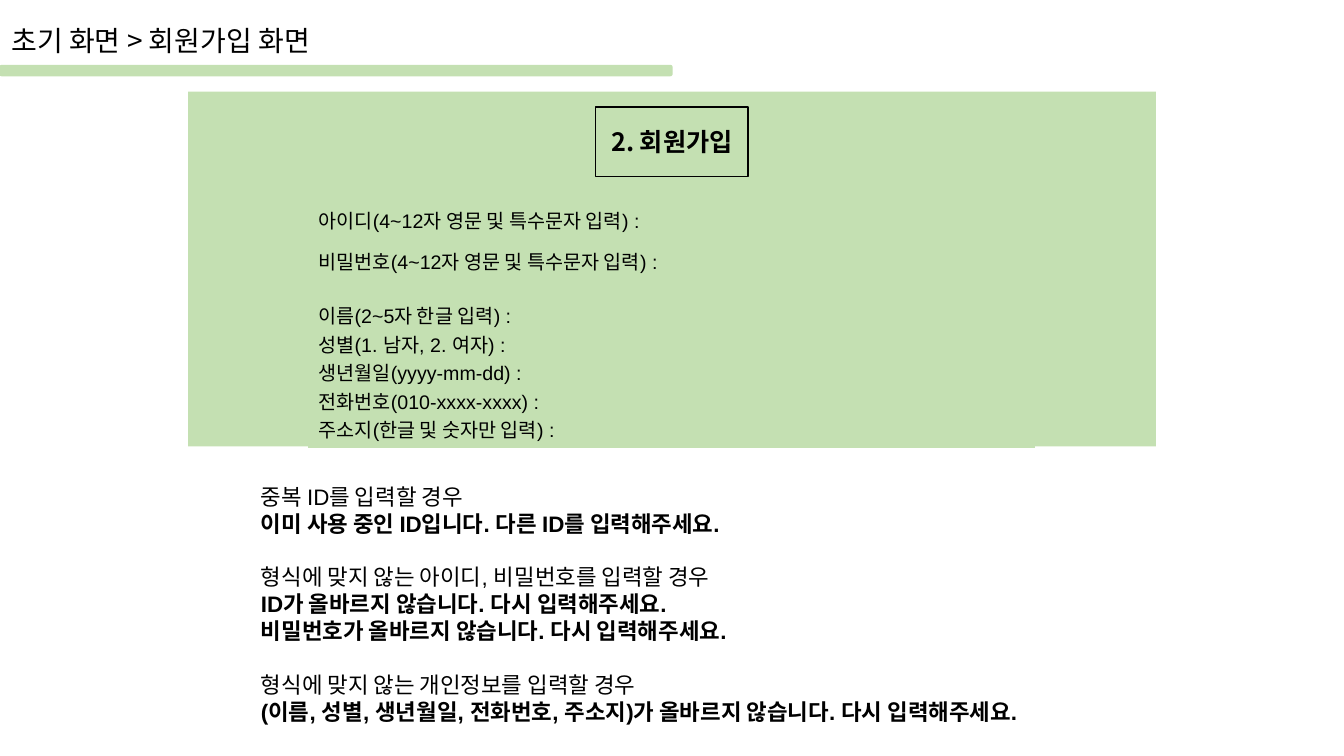
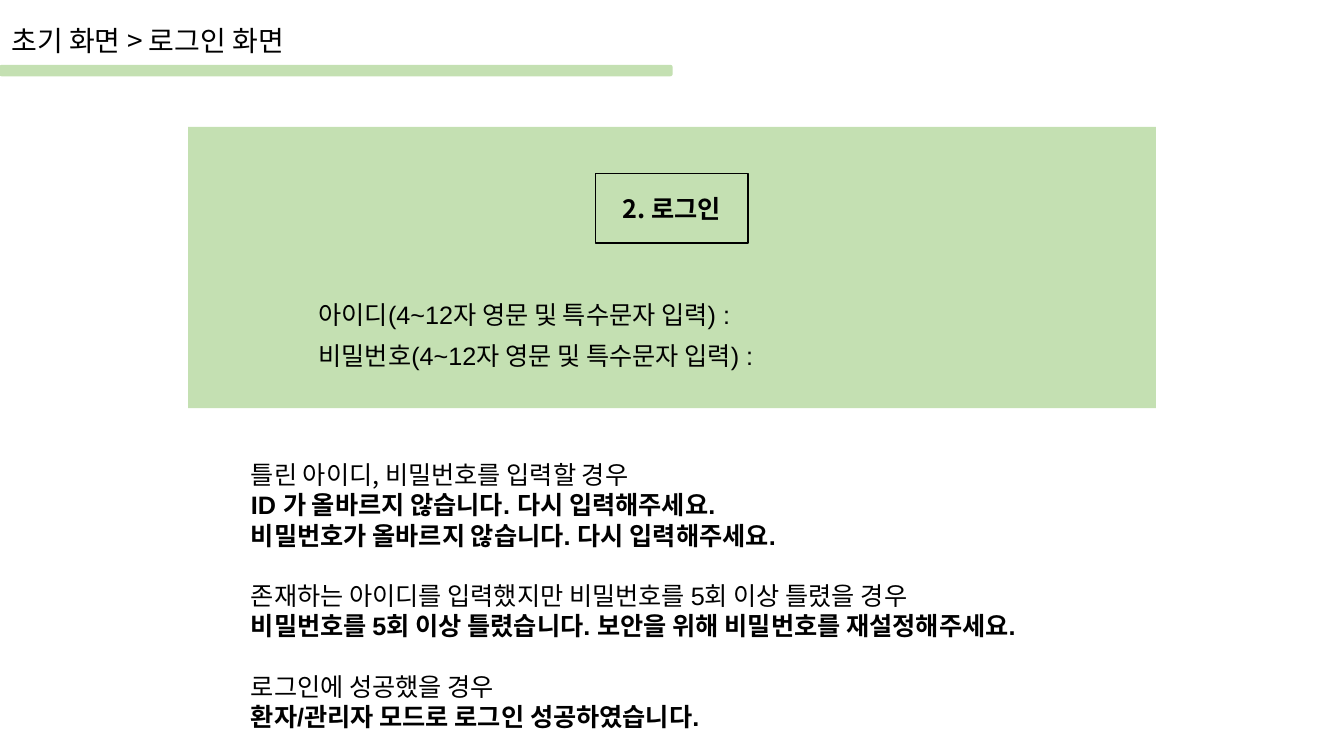
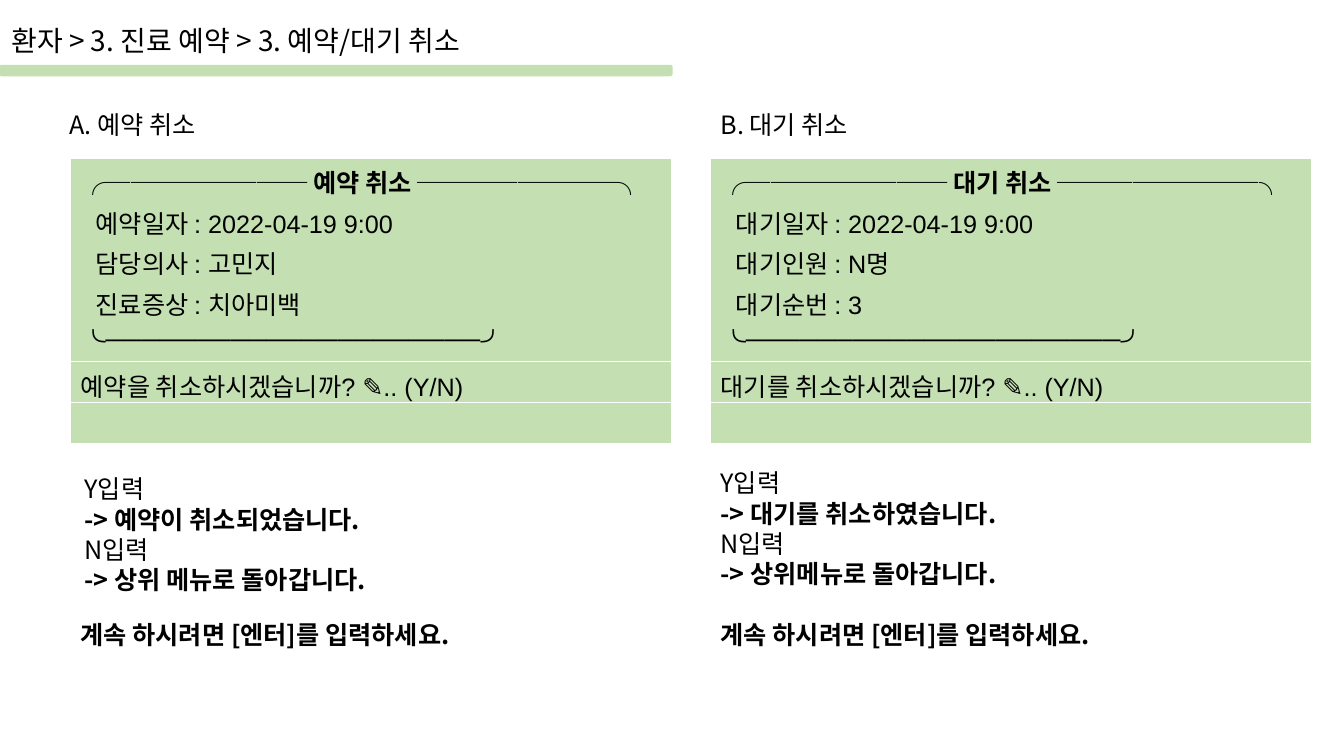
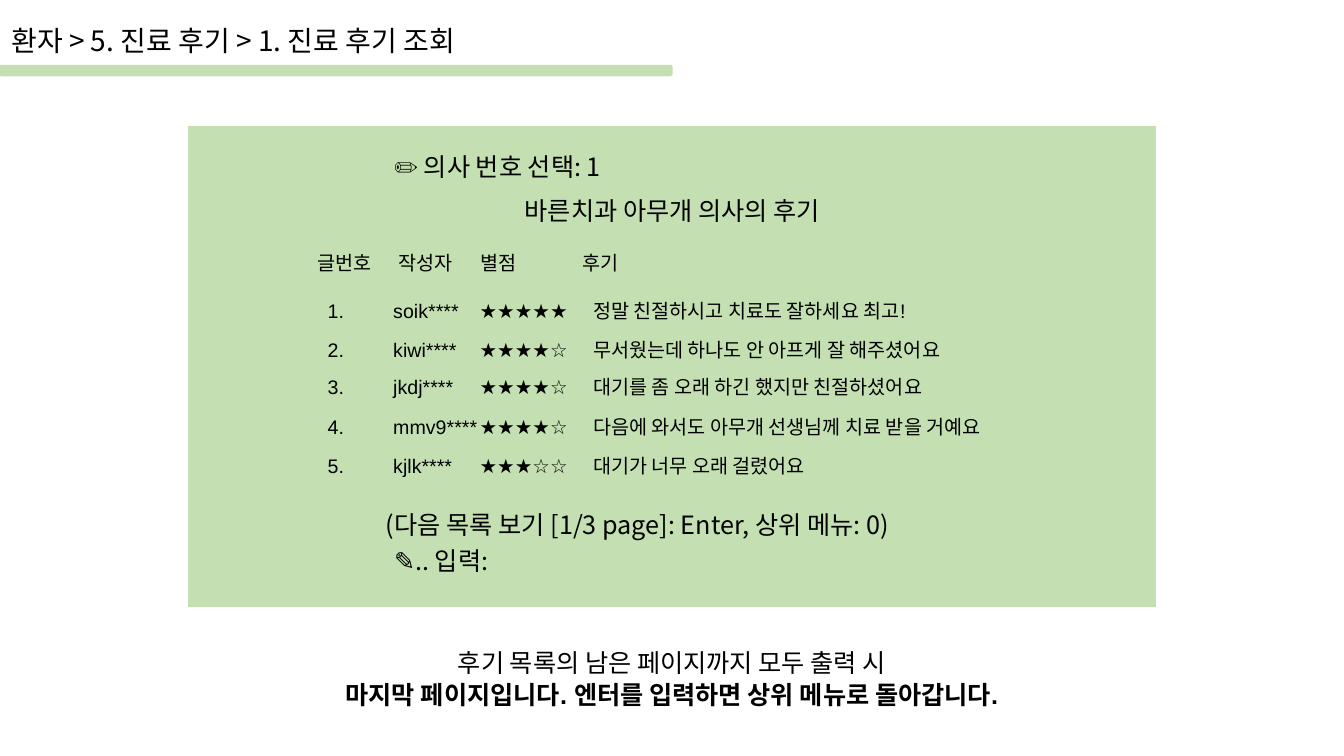
from dataclasses import dataclass

from lxml.etree import SubElement
from pptx import Presentation
from pptx.dml.color import RGBColor as RGB
from pptx.enum.shapes import MSO_SHAPE as Shape
from pptx.enum.text import MSO_ANCHOR as Anchor, PP_ALIGN as Align
from pptx.oxml import parse_xml
from pptx.oxml.ns import nsdecls, qn
from pptx.util import Inches, Pt


@dataclass(frozen=True)
class Theme:
    green: RGB = RGB(0xC4, 0xE0, 0xB2)
    black: RGB = RGB(0, 0, 0)
    latin: str = "Arial"
    hangul: str = "Noto Sans CJK KR"
    title: int = 20
    body: int = 18
    note: int = 16
    small: int = 14
    tiny: int = 3


T = Theme()
W, H = Inches(13.333), Inches(7.5)
PLAIN = "{2D5ABB26-0587-4C30-8999-92F81FD0307C}"
BOLD, GAP = {"bold": True}, {"gap": True}


def span(x, y, w, h):
    """Turn percentages of the slide into lengths."""
    return int(W * x / 100), int(H * y / 100), int(W * w / 100), int(H * h / 100)


def write(frame, lines, size=T.body, font=T.hangul, align=None, lead=1.2, tabs=(), **base):
    """Fill a frame; a line is a string, or a string with its own format."""
    frame.word_wrap = True
    for i, line in enumerate(lines):
        words, own = (line, {}) if isinstance(line, str) else line
        look = {"font": font, **base, **own}
        par = frame.paragraphs[0] if i == 0 else frame.add_paragraph()
        par.alignment = align
        if lead:
            par.line_spacing = Pt(size * lead)
        if look.get("gap"):
            par.space_before = Pt(size * lead)
        if tabs:
            stops = SubElement(par._p.get_or_add_pPr(), qn("a:tabLst"))
            for stop in tabs:
                SubElement(stops, qn("a:tab"), pos=str(int(W * stop / 100)), algn="l")
        if not words:
            SubElement(par._p, qn("a:endParaRPr"), sz=str(size * 100))
            continue
        run = par.add_run()
        run.text = words
        run.font.size = Pt(size)
        run.font.name = look["font"]
        run.font.bold = look.get("bold", False)
        run.font.color.rgb = T.black


# Titles
deck = Presentation()
deck.slide_width, deck.slide_height = W, H
slides = []
for title in (
    "초기 화면 > 회원가입 화면",
    "초기 화면 > 로그인 화면",
    "환자 > 3. 진료 예약 > 3. 예약/대기 취소",
    "환자 > 5. 진료 후기 > 1. 진료 후기 조회",
):
    slide = deck.slides.add_slide(deck.slide_layouts[6])
    slides.append(slide)
    bar = slide.shapes.add_shape(Shape.ROUNDED_RECTANGLE, *span(0, 8.67, 50, 1.33))
    bar.adjustments[0] = 0.17
    bar.shadow.inherit = False
    bar.fill.solid()
    bar.fill.fore_color.rgb = bar.line.color.rgb = T.green
    bar.line.width = Pt(1)
    write(slide.shapes.add_textbox(*span(0.1, 2.4, 65, 5.87)).text_frame, [title], size=T.title)
join, login, cancel, review = slides

# Panels and their headings
for slide, area, filled, head in (
    (join, (14, 12.13, 72, 46.93), True, None),
    (login, (14, 16.8, 72, 37.2), True, None),
    (review, (14, 16.67, 72, 63.6), True, None),
    (join, (44.33, 14.13, 11.33, 9.2), False, "2. 회원가입"),
    (login, (44.33, 22.93, 11.33, 9.2), False, "2. 로그인"),
    (review, (36.9, 25.2, 26.25, 5.33), True, "바른치과 아무개 의사의 후기"),
):
    panel = slide.shapes.add_shape(Shape.RECTANGLE, *span(*area))
    panel.shadow.inherit = False
    if filled:
        panel.fill.solid()
        panel.fill.fore_color.rgb = T.green
        panel.line.fill.background()
    else:
        panel.fill.background()
        panel.line.color.rgb = T.black
        panel.line.width = Pt(1)
    if head:
        panel.text_frame.vertical_anchor = Anchor.MIDDLE
        write(panel.text_frame, [head], align=Align.CENTER, bold=not filled)

# Tables: slide, corner, width, row heights, type size, rows of lines
user = "아이디(4~12자 영문 및 특수문자 입력) :"
key = "비밀번호(4~12자 영문 및 특수문자 입력) :"
person = [
    "이름(2~5자 한글 입력) :",
    "성별(1. 남자, 2. 여자) :",
    "생년월일(yyyy-mm-dd) :",
    "전화번호(010-xxxx-xxxx) :",
    "주소지(한글 및 숫자만 입력) :",
]
posts = [
    ("soik****", 5, "정말 친절하시고 치료도 잘하세요 최고!"),
    ("kiwi****", 4, "무서웠는데 하나도 안 아프게 잘 해주셨어요"),
    ("jkdj****", 4, "대기를 좀 오래 하긴 했지만 친절하셨어요"),
    ("mmv9****", 4, "다음에 와서도 아무개 선생님께 치료 받을 거예요"),
    ("kjlk****", 3, "대기가 너무 오래 걸렸어요"),
]
ratings = [
    [f"{i}.\t{name}\t{'★' * n + '☆' * (5 - n)}\t{words}"]
    for i, (name, n, words) in enumerate(posts, 1)
]
halves = [
    (5.25, "예약", "예약을", ["예약일자 : 2022-04-19 9:00", "담당의사 : 고민지", "진료증상 : 치아미백"]),
    (52.88, "대기", "대기를", ["대기일자 : 2022-04-19 9:00", "대기인원 : N명", "대기순번 : 3"]),
]
tables = [
    (join, (22.95, 26.53), 54.08, [5.47, 5.1, 1.73, 20.2], T.small, [[user], [key], [""], person]),
    (login, (22.95, 38.4), 54.08, [5.4, 5.4], T.body, [[user], [key]]),
    (review, (23.63, 38.4), 56.25, [5.2, 4.93, 5.2, 5.2, 5.2], T.small, ratings),
]
for x, kind, thing, facts in halves:
    rows = [
        [(f"╭──────── {kind} 취소 ────────╮", BOLD)],
        *([fact] for fact in facts),
        ["╰─────────────────────╯"],
        [f"{thing} 취소하시겠습니까? ✎.. (Y/N)"],
        [""],
    ]
    tables.append((cancel, (x, 20.93), 44.7, [5.39] * 7, T.body, rows))

for slide, corner, width, heights, size, rows in tables:
    area = span(*corner, width, sum(heights))
    grid = slide.shapes.add_table(len(rows), 1, *area).table
    grid.first_row = grid.horz_banding = False
    grid._tbl.tblPr.find(qn("a:tableStyleId")).text = PLAIN
    stops = (4.88, 11.3, 19.75) if slide is review else ()
    for r, lines in enumerate(rows):
        grid.rows[r].height = int(H * heights[r] / 100)
        cell = grid.cell(r, 0)
        cell.fill.solid()
        cell.fill.fore_color.rgb = T.green
        small = T.tiny if slide is join and lines == [""] else size
        write(cell.text_frame, lines, size=small, font=T.latin, lead=None, tabs=stops)
        if slide is not cancel:
            continue
        if r in (1, 2, 3):
            cell.margin_left = Inches(0.25)
            continue
        sides = "LRT" if r == 0 else "LRB" if r == 4 else "LRTB"
        for i, side in enumerate(sides):
            edge = parse_xml(
                f'<a:ln{side} {nsdecls("a")} w="12700"><a:solidFill>'
                f'<a:srgbClr val="FFFFFF"/></a:solidFill></a:ln{side}>'
            )
            cell._tc.get_or_add_tcPr().insert(i, edge)

# Messages: slide, area, lines, format
wrong = ("비밀번호가 올바르지 않습니다. 다시 입력해주세요.", BOLD)
texts = [
    (join, (18.68, 63.2, 62, 33.6), [
        "중복 ID를 입력할 경우",
        ("이미 사용 중인 ID입니다. 다른 ID를 입력해주세요.", BOLD),
        ("형식에 맞지 않는 아이디, 비밀번호를 입력할 경우", GAP),
        ("ID가 올바르지 않습니다. 다시 입력해주세요.", BOLD),
        wrong,
        ("형식에 맞지 않는 개인정보를 입력할 경우", GAP),
        ("(이름, 성별, 생년월일, 전화번호, 주소지)가 올바르지 않습니다. 다시 입력해주세요.", BOLD),
    ], {"size": T.note, "font": T.latin}),
    (login, (17.93, 60.13, 64.2, 37.73), [
        ("틀린 아이디, 비밀번호를 입력할 경우", {"font": T.hangul}),
        ("ID 가 올바르지 않습니다. 다시 입력해주세요.", BOLD),
        wrong,
        ("존재하는 아이디를 입력했지만 비밀번호를 5회 이상 틀렸을 경우", GAP),
        ("비밀번호를 5회 이상 틀렸습니다. 보안을 위해 비밀번호를 재설정해주세요.", BOLD),
        ("로그인에 성공했을 경우", GAP),
        ("환자/관리자 모드로 로그인 성공하였습니다.", BOLD),
    ], {"font": T.latin}),
    (review, (22.88, 32.53, 27.53, 4.53), ["글번호\t작성자\t별점\t후기"],
     {"size": T.small, "tabs": (6, 12.1, 19.75)}),
    (review, (28.58, 19.4, 18.9, 5.33), ["✏ 의사 번호 선택: 1"], {}),
    (review, (27.98, 66.73, 41.7, 5.33), ["(다음 목록 보기 [1/3 page]: Enter, 상위 메뉴: 0)"], {}),
    (review, (28.58, 71.47, 10.8, 5.33), ["✎.. 입력:"], {}),
    (review, (21.3, 84.67, 57.38, 12.13), [
        "후기 목록의 남은 페이지까지 모두 출력 시",
        ("마지막 페이지입니다. 엔터를 입력하면 상위 메뉴로 돌아갑니다.", BOLD),
    ], {"font": T.latin, "align": Align.CENTER, "lead": 1.27}),
]
for x, y, left, head, done, back in (
    (5.55, 62, 4.43, "A. 예약 취소", "예약이 취소되었습니다.", "상위 메뉴로"),
    (52.88, 61.2, 52.88, "B. 대기 취소", "대기를 취소하였습니다.", "상위메뉴로"),
):
    answers = ["Y입력", (f"-> {done}", BOLD), "N입력", (f"-> {back} 돌아갑니다.", BOLD)]
    texts.append((cancel, (left, 13.8, 12.1, 5.33), [head], {}))
    texts.append((cancel, (x, y, 25.13, 17.47), answers, {}))
for x, *_ in halves:
    texts.append((cancel, (x, 81.2, 42.53, 5.33), ["계속 하시려면 [엔터]를 입력하세요."], BOLD))

for slide, area, lines, form in texts:
    write(slide.shapes.add_textbox(*span(*area)).text_frame, lines, **form)

deck.save("out.pptx")
